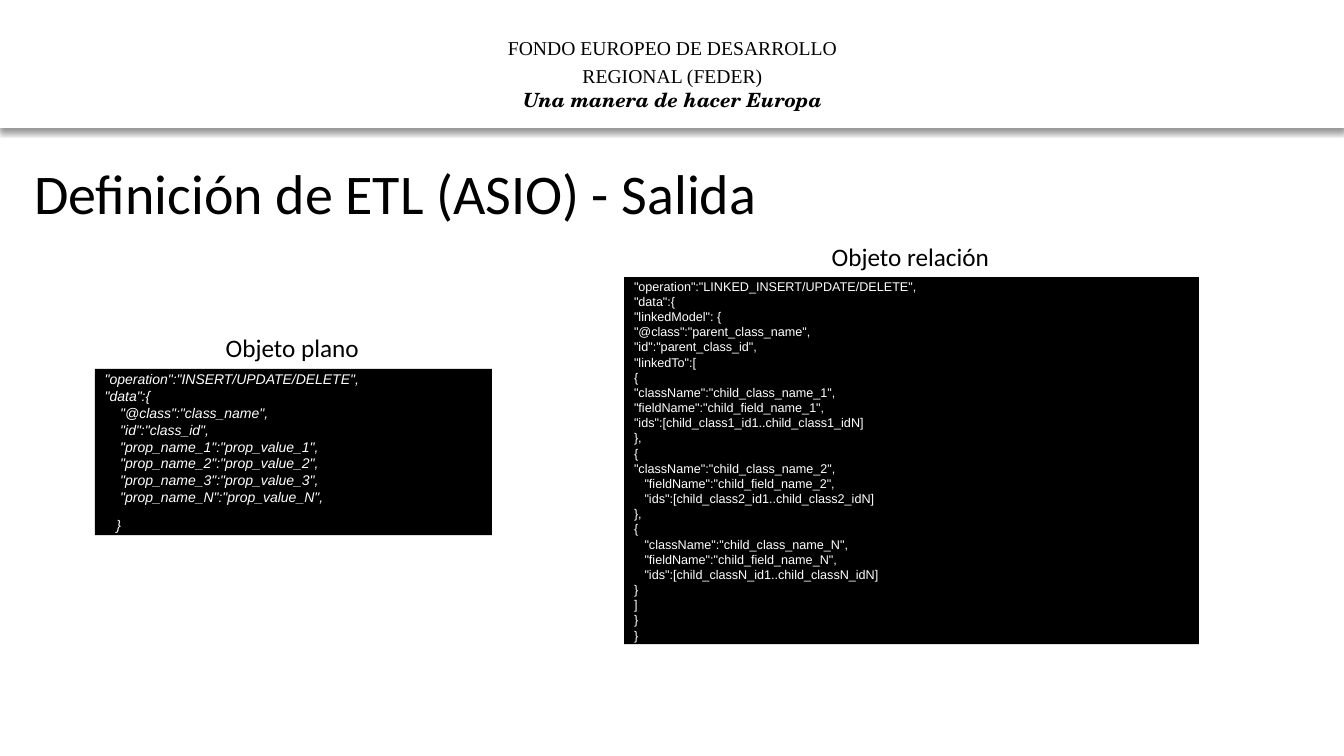
"""Build the ETL output slide with its flat and linked JSON objects."""
from dataclasses import dataclass

from lxml.etree import SubElement
from pptx import Presentation
from pptx.dml.color import RGBColor as Rgb
from pptx.enum.shapes import MSO_SHAPE as Preset
from pptx.enum.text import MSO_ANCHOR as Anchor, MSO_AUTO_SIZE as AutoSize, PP_ALIGN as Align
from pptx.oxml.ns import qn
from pptx.util import Inches, Pt

COLORS = {"text": "000000", "panel": "000000", "code": "FFFFFF", "banner": "FFFFFF"}
SPACE_WIDTH = 0.278

FLAT_OBJECT = '''"operation":"INSERT/UPDATE/DELETE",
"data":{
    "@class":"class_name",
    "id":"class_id",
    "prop_name_1":"prop_value_1",
    "prop_name_2":"prop_value_2",
    "prop_name_3":"prop_value_3",
    "prop_name_N":"prop_value_N",
   }'''

LINKED_OBJECT = '''"operation":"LINKED_INSERT/UPDATE/DELETE",
"data":{
"linkedModel": {
"@class":"parent_class_name",
"id":"parent_class_id",
"linkedTo":[
{
"className":"child_class_name_1",
"fieldName":"child_field_name_1",
"ids":[child_class1_id1..child_class1_idN]
},
{
"className":"child_class_name_2",
   "fieldName":"child_field_name_2",
   "ids":[child_class2_id1..child_class2_idN]
},
{
   "className":"child_class_name_N",
   "fieldName":"child_field_name_N",
   "ids":[child_classN_id1..child_classN_idN]
}
]
}
}'''


@dataclass(frozen=True)
class Box:
    """Position and size in inches."""
    left: float
    top: float
    width: float
    height: float

    def lengths(self) -> tuple:
        """Return the four lengths for a shape call."""
        return tuple(map(Inches, (self.left, self.top, self.width, self.height)))


@dataclass(frozen=True)
class Style:
    """Font of a line of text."""
    name: str
    size: float
    color: str = "text"
    bold: bool = False
    italic: bool = False


@dataclass(frozen=True)
class Label:
    """Text box whose lines each have a style."""
    box: Box
    lines: tuple
    wrap: bool = True
    align: Align = Align.LEFT


@dataclass(frozen=True)
class CodePanel:
    """Dark panel of code; closing_gap is points above the last line."""
    box: Box
    code: str
    style: Style
    closing_gap: float = 0


TITLE = Style("Calibri", 40)
CAPTION = Style("Calibri", 18)
FUND = Style("Times New Roman", 14)
MOTTO = Style("TeX Gyre Schola", 14, bold=True, italic=True)

LABELS = (
    Label(Box(4.46, 0.26, 4.42, 0.9),
          (("FONDO EUROPEO DE DESARROLLO REGIONAL (FEDER)", FUND),
           ("Una manera de hacer Europa", MOTTO)), align=Align.CENTER),
    Label(Box(0.24, 1.52, 12.86, 0.77), (("Definición de ETL (ASIO) - Salida", TITLE),)),
    Label(Box(2.14, 3.25, 1.54, 0.4), (("Objeto plano", CAPTION),), wrap=False),
    Label(Box(8.15, 2.34, 1.78, 0.4), (("Objeto relación", CAPTION),), wrap=False),
)
PANELS = (
    CodePanel(Box(0.94, 3.66, 3.94, 1.65), FLAT_OBJECT,
              Style("Arial", 10, "code", italic=True), closing_gap=8),
    CodePanel(Box(6.19, 2.75, 5.7, 3.64), LINKED_OBJECT, Style("Arial", 9, "code")),
)


def format_runs(paragraph, style: Style) -> None:
    """Apply a style to every run of a paragraph."""
    for run in paragraph.runs:
        font = run.font
        font.name, font.size = style.name, Pt(style.size)
        font.bold, font.italic = style.bold, style.italic
        font.color.rgb = Rgb.from_string(COLORS[style.color])


def add_rectangle(slide, box: Box, color: str):
    """Add a plain filled rectangle."""
    shape = slide.shapes.add_shape(Preset.RECTANGLE, *box.lengths())
    shape.shadow.inherit = False
    shape.fill.solid()
    shape.fill.fore_color.rgb = Rgb.from_string(COLORS[color])
    shape.line.fill.background()
    return shape


def add_banner(slide) -> None:
    """Add the white header band with a soft shadow below it."""
    shape = add_rectangle(slide, Box(0, 0, 13.33, 1.26), "banner")
    shape.line.color.rgb = Rgb.from_string(COLORS["banner"])
    shape.line.width = Pt(1)
    effects = shape._element.spPr.find(qn("a:effectLst"))
    shadow = SubElement(effects, qn("a:outerShdw"), blurRad=str(Pt(4)), dist=str(Pt(3)),
                        dir="5400000", algn="t", rotWithShape="0")
    color = SubElement(shadow, qn("a:srgbClr"), val=COLORS["text"])
    SubElement(color, qn("a:alpha"), val="40000")


def add_label(slide, label: Label) -> None:
    """Add a text box with its styled lines."""
    frame = slide.shapes.add_textbox(*label.box.lengths()).text_frame
    frame.text = "\n".join(text for text, _ in label.lines)
    frame.word_wrap = label.wrap
    frame.auto_size = AutoSize.SHAPE_TO_FIT_TEXT
    for paragraph, (_, style) in zip(frame.paragraphs, label.lines):
        paragraph.alignment = label.align
        paragraph.line_spacing = 1.2 if style is FUND else 1.0
        format_runs(paragraph, style)


def add_code_panel(slide, panel: CodePanel) -> None:
    """Add a code panel, turning leading spaces into indents."""
    frame = add_rectangle(slide, panel.box, "panel").text_frame
    frame.word_wrap = True
    frame.vertical_anchor = Anchor.MIDDLE
    frame.margin_top = frame.margin_bottom = 0
    lines = panel.code.split("\n")
    frame.text = "\n".join(line.strip() for line in lines)
    for paragraph, line in zip(frame.paragraphs, lines):
        depth = len(line) - len(line.lstrip())
        indent = Pt(depth * panel.style.size * SPACE_WIDTH)
        paragraph._p.get_or_add_pPr().set("marL", str(indent))
        paragraph.alignment = Align.LEFT
        format_runs(paragraph, panel.style)
    frame.paragraphs[-1].space_before = Pt(panel.closing_gap)


def main() -> None:
    """Build and save the presentation."""
    presentation = Presentation()
    presentation.slide_width, presentation.slide_height = Inches(13.33), Inches(7.5)
    slide = presentation.slides.add_slide(presentation.slide_layouts[6])
    add_banner(slide)
    for panel in PANELS:
        add_code_panel(slide, panel)
    for label in LABELS:
        add_label(slide, label)
    presentation.save("out.pptx")


if __name__ == "__main__":
    main()
